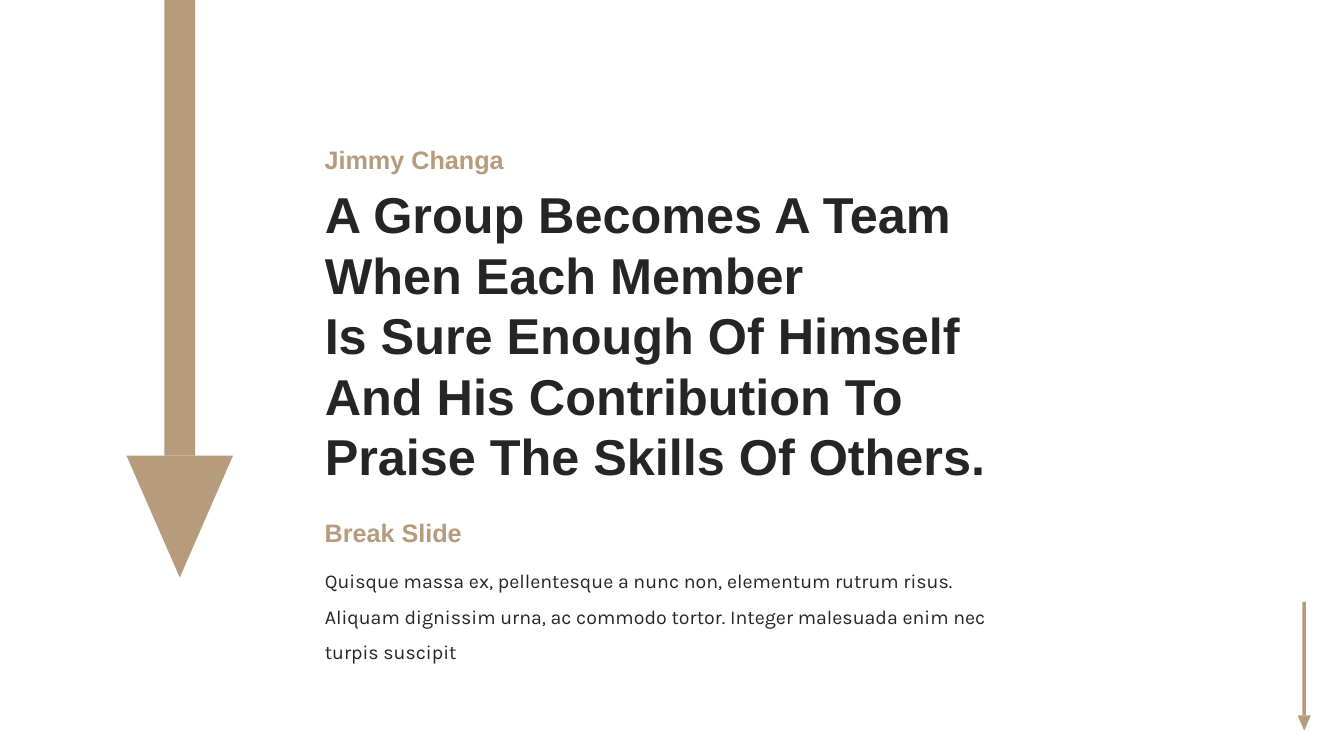
from dataclasses import dataclass

from lxml import etree
from pptx import Presentation
from pptx.dml.color import RGBColor
from pptx.enum import shapes, text
from pptx.oxml import ns
from pptx.util import Pt


@dataclass(frozen=True)
class Theme:
    tan: RGBColor = RGBColor(0xB6, 0x9B, 0x7D)
    ink: RGBColor = RGBColor(0x24, 0x25, 0x27)
    head: str = "Arial"
    body: str = "Karla"
    big: int = 36
    mid: int = 18
    small: int = 14


THEME = Theme()
LEFT = 224.8
QUOTE = (
    "A Group Becomes A Team\n"
    "When Each Member\n"
    "Is Sure Enough Of Himself\n"
    "And His Contribution To\n"
    "Praise The Skills Of Others."
)
NOTE = (
    "Quisque massa ex, pellentesque a nunc non, elementum rutrum risus. "
    "Aliquam dignissim urna, ac commodo tortor. "
    "Integer malesuada enim nec turpis suscipit"
)


def place(item, left, top, width, height):
    item.left, item.top = Pt(left), Pt(top)
    item.width, item.height = Pt(width), Pt(height)


def write(item, words, face, size, color, bold=True, space=1.0):
    frame = item.text_frame
    frame.text = words
    frame.word_wrap = True
    frame.auto_size = text.MSO_AUTO_SIZE.NONE
    frame.vertical_anchor = text.MSO_ANCHOR.TOP
    for para in frame.paragraphs:
        para.alignment = text.PP_ALIGN.LEFT
        para.line_spacing = space
        para.space_before = Pt(0)
        for run in para.runs:
            font = run.font
            font.name, font.size, font.bold = face, Pt(size), bold
            font.color.rgb = color


def plain(item):
    for para in item.text_frame.paragraphs:
        props = para._p.get_or_add_pPr()
        props.set("marL", "0")
        props.set("indent", "0")
        etree.SubElement(props, ns.qn("a:buNone"))


def label(slide, words, top, width):
    box = slide.shapes.add_textbox(Pt(LEFT), Pt(top), Pt(width), Pt(29))
    write(box, words, THEME.head, THEME.mid, THEME.tan)


def solid(group, kind, mid, top, width, height):
    item = group.shapes.add_shape(
        kind, Pt(mid - width / 2), Pt(top), Pt(width), Pt(height))
    item.shadow.inherit = False
    item.fill.solid()
    item.fill.fore_color.rgb = THEME.tan
    item.line.fill.background()
    return item


def arrow(slide, mid, top, bar, tip):
    kinds = shapes.MSO_SHAPE
    group = slide.shapes.add_group_shape()
    solid(group, kinds.RECTANGLE, mid, top, *bar)
    head = solid(group, kinds.ISOSCELES_TRIANGLE, mid, top + bar[1], *tip)
    head.rotation = 180


def main():
    deck = Presentation()
    deck.slide_width, deck.slide_height = Pt(960), Pt(540)
    slide = deck.slides.add_slide(deck.slide_layouts[1])
    title, body = slide.placeholders

    arrow(slide, 931.6, 430, (2.6, 81), (9.4, 10.8))
    arrow(slide, 128.4, 0, (22, 325.5), (76, 87))

    label(slide, "Jimmy Changa", 99.2, 174)
    place(title, LEFT, 127.4, 547, 225.4)
    write(title, QUOTE, THEME.head, THEME.big, THEME.ink)

    label(slide, "Break Slide", 366.2, 161)
    place(body, LEFT, 394.6, 519, 84)
    write(body, NOTE, THEME.body, THEME.small, THEME.ink, False, 1.5)
    plain(body)

    deck.save("out.pptx")


if __name__ == "__main__":
    main()
